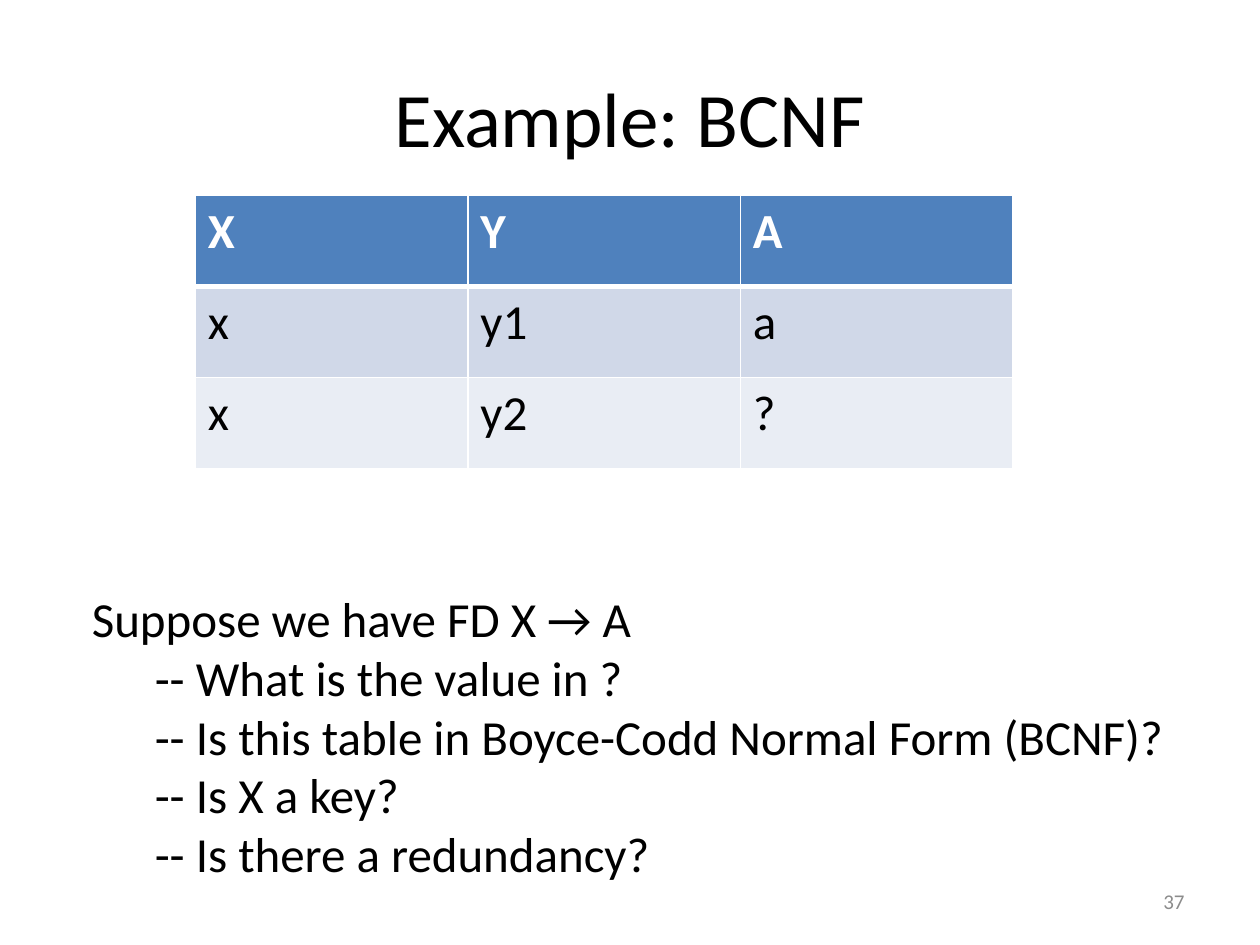
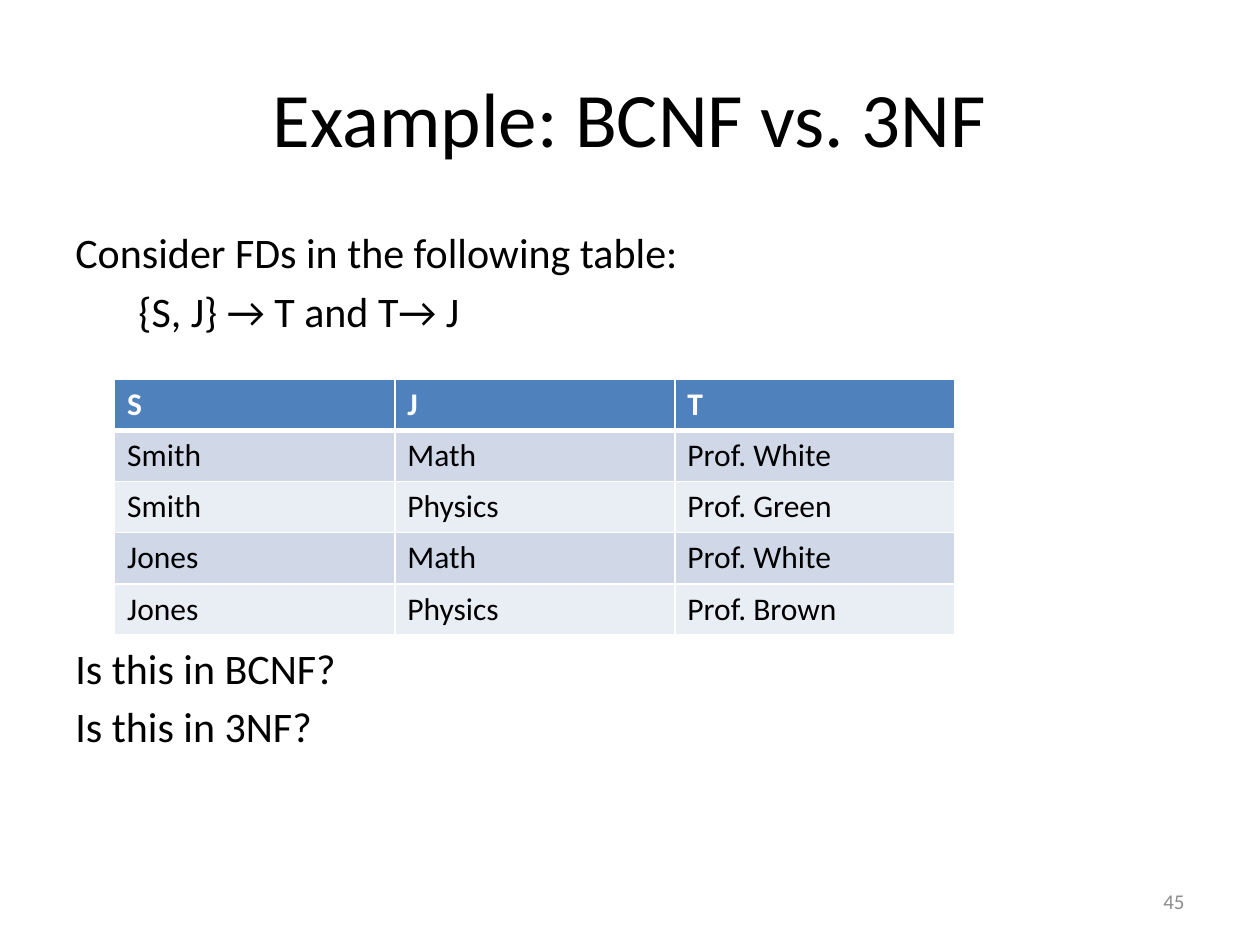
from lxml import etree
from pptx import Presentation
from pptx.dml.color import RGBColor
from pptx.enum.text import MSO_ANCHOR, PP_ALIGN
from pptx.oxml.ns import qn
from pptx.util import Inches, Pt

LEFT, CENTER, RIGHT = PP_ALIGN.LEFT, PP_ALIGN.CENTER, PP_ALIGN.RIGHT
TOP, MIDDLE = MSO_ANCHOR.TOP, MSO_ANCHOR.MIDDLE

FONT = "Calibri"
BLACK, WHITE, GREY = "000000", "FFFFFF", "8C8C8C"
HEADER, BANDS = "4F81BD", ("D0D8E8", "E9EDF4")
INDENT = 0.5

# Boxes are left, top, width, height in inches
TITLE_BOX = (0.5, 0.3, 9, 1.25)
NUMBER_BOX = (7.17, 6.95, 2.33, 0.4)


def color(hex_value):
    return RGBColor.from_string(hex_value)


def add_span(para, text, size, ink=BLACK, bold=False):
    span = para.add_run()
    span.text = text
    span.font.name = FONT
    span.font.size = Pt(size)
    span.font.bold = bold
    span.font.color.rgb = color(ink)


def add_text(page, box, lines, size, ink=BLACK, align=LEFT, anchor=TOP):
    """Each line is (text, indent level, points of space before)."""
    frame = page.shapes.add_textbox(*map(Inches, box)).text_frame
    frame.word_wrap = True
    frame.vertical_anchor = anchor
    for index, (text, level, space) in enumerate(lines):
        para = frame.add_paragraph() if index else frame.paragraphs[0]
        para.alignment = align
        para.space_before = Pt(space)
        if level:
            para._p.get_or_add_pPr().set("marL", str(Inches(INDENT * level)))
        add_span(para, text, size, ink)


def set_borders(cell, widths):
    """Widths in points, ordered left, right, top, bottom."""
    properties = cell._tc.get_or_add_tcPr()
    for index, (side, width) in enumerate(zip("LRTB", widths)):
        line = etree.Element(qn("a:ln" + side), w=str(Pt(width)))
        fill = etree.SubElement(line, qn("a:solidFill"))
        etree.SubElement(fill, qn("a:srgbClr"), val=WHITE)
        properties.insert(index, line)


def add_grid(page, box, rows, size):
    shape = page.shapes.add_table(len(rows), len(rows[0]), *map(Inches, box))
    table = shape.table
    for row in table.rows:
        row.height = Inches(box[3] / len(rows))
    for r, values in enumerate(rows):
        is_header = r == 0
        for c, value in enumerate(values):
            cell = table.cell(r, c)
            cell.fill.solid()
            cell.fill.fore_color.rgb = color(HEADER if is_header else BANDS[(r - 1) % 2])
            # The rule under the header is heavier than the others
            set_borders(cell, (1, 1, 3 if r == 1 else 1, 3 if is_header else 1))
            add_span(cell.text_frame.paragraphs[0], value, size,
                     WHITE if is_header else BLACK, is_header)


def add_page(deck, title, number):
    page = deck.slides.add_slide(deck.slide_layouts[6])
    add_text(page, TITLE_BOX, [(title, 0, 0)], 44, align=CENTER, anchor=MIDDLE)
    add_text(page, NUMBER_BOX, [(number, 0, 0)], 12, GREY, RIGHT, MIDDLE)
    return page


deck = Presentation()
deck.slide_width, deck.slide_height = Inches(10), Inches(7.5)

# BCNF: table above, questions below
page = add_page(deck, "Example: BCNF", "37")
add_grid(page, (1.55, 1.55, 6.49, 2.17),
         [("X", "Y", "A"), ("x", "y1", "a"), ("x", "y2", "?")], 28)
add_text(page, (0.63, 4.62, 8.98, 2.45), [
    ("Suppose we have FD X \u2192 A", 0, 0),
    ("-- What is the value in ?", 1, 0),
    ("-- Is this table in Boyce-Codd Normal Form (BCNF)?", 1, 0),
    ("-- Is X a key?", 1, 0),
    ("-- Is there a redundancy?", 1, 0),
], 28)

# BCNF vs. 3NF: the text leaves a gap that the table fills
BODY_SPACE, TABLE_GAP = 4.8, 175
page = add_page(deck, "Example: BCNF vs. 3NF", "45")
add_text(page, (0.5, 1.75, 9, 4.95), [
    ("Consider FDs in the following table:", 0, BODY_SPACE),
    ("{S, J} \u2192 T and T\u2192 J", 1, BODY_SPACE),
    ("Is this in BCNF?", 0, TABLE_GAP),
    ("Is this in 3NF?", 0, BODY_SPACE),
], 24)
add_grid(page, (0.91, 3.01, 6.67, 2.03), [
    ("S", "J", "T"),
    ("Smith", "Math", "Prof. White"),
    ("Smith", "Physics", "Prof. Green"),
    ("Jones", "Math", "Prof. White"),
    ("Jones", "Physics", "Prof. Brown"),
], 18)

deck.save("out.pptx")
